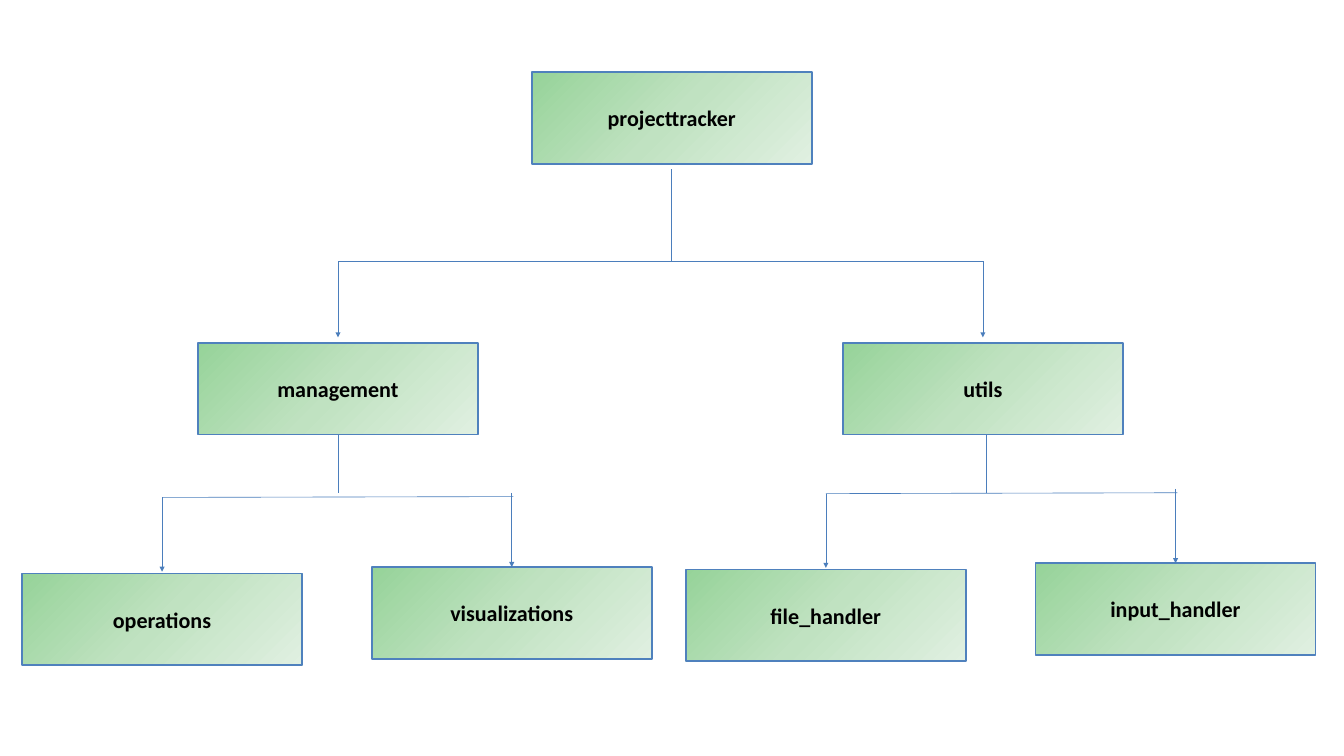
from copy import deepcopy

from lxml import etree
from pptx import Presentation
from pptx.dml.color import RGBColor
from pptx.enum.shapes import MSO_CONNECTOR, MSO_SHAPE
from pptx.enum.text import MSO_ANCHOR, PP_ALIGN
from pptx.oxml.ns import qn
from pptx.util import Pt

RECT = MSO_SHAPE.RECTANGLE
STRAIGHT = MSO_CONNECTOR.STRAIGHT
MIDDLE = MSO_ANCHOR.MIDDLE
CENTER = PP_ALIGN.CENTER
TOP, BOTTOM = 0, 2

COLORS = {"dark": "96D399", "mid": "C0E2C1", "pale": "E0F0E1",
          "edge": "4F81BD", "line": "4B7EBC", "text": "000000"}
FONT = "Calibri"
BOX_W, BOX_H = 329.8, 108
HALF = BOX_W / 2


def rgb(name):
    return RGBColor.from_string(COLORS[name])


def shade(fill):
    """Diagonal gradient with three stops."""
    fill.gradient()
    fill.gradient_angle = 315
    first = fill.gradient_stops[0]._gs
    first.addnext(deepcopy(first))
    stops = zip(fill.gradient_stops, (0, 0.5, 1), ("dark", "mid", "pale"))
    for stop, place, name in stops:
        stop.position = place
        stop.color.rgb = rgb(name)


def add_box(slide, x, y, label):
    box = slide.shapes.add_shape(RECT, Pt(x), Pt(y), Pt(BOX_W), Pt(BOX_H))
    box.shadow.inherit = False
    shade(box.fill)
    box.line.color.rgb = rgb("edge")
    box.line.width = Pt(2)
    frame = box.text_frame
    frame.word_wrap = True
    frame.vertical_anchor = MIDDLE
    para = frame.paragraphs[0]
    para.alignment = CENTER
    run = para.add_run()
    run.text = label
    font = run.font
    font.name, font.size, font.bold = FONT, Pt(26), True
    font.color.rgb = rgb("text")
    return box


def add_line(slide, x1, y1, x2, y2, arrow=False):
    line = slide.shapes.add_connector(STRAIGHT, Pt(x1), Pt(y1), Pt(x2), Pt(y2))
    line.line.color.rgb = rgb("line")
    line.line.width = Pt(0.75)
    props = line._element.spPr
    if arrow:
        etree.SubElement(props.find(qn("a:ln")), qn("a:tailEnd"), type="triangle")
    etree.SubElement(props, qn("a:effectLst"))
    return line


def add_root(slide, x, y, label, kids):
    """Top box, its fork and the two boxes below; returns those two."""
    add_box(slide, x, y, label)
    mid, bar, low = x + HALF, y + 222.5, y + 319
    ends = [left + HALF for left, _ in kids]
    add_line(slide, mid, y + 114.5, mid, bar)
    add_line(slide, ends[0], bar, ends[1], bar)
    for end in ends:
        add_line(slide, end, bar, end, y + 312.5, arrow=True)
    return [add_box(slide, left, low, name) for left, name in kids]


def add_fork(slide, x, y, names):
    """Two leaf boxes under a slightly tilted bar; x, y is the left box."""
    left, right = x + HALF, x + 412 + HALF
    top = y - 7.5
    add_box(slide, x, y, names[0])
    leaf = add_box(slide, x + 412, top, names[1])
    add_line(slide, left, y - 89.5, right + 2, y - 90.5)
    add_line(slide, left, y - 89.5, left, y - 2, arrow=True)
    drop = add_line(slide, right, y - 95, right, top, arrow=True)
    drop.end_connect(leaf, TOP)


def main():
    deck = Presentation()
    deck.slide_width, deck.slide_height = Pt(1583.3), Pt(890.6)
    slide = deck.slides.add_slide(deck.slide_layouts[6])

    # Root and packages
    kids = [(233.3, "management"), (993, "utils")]
    manage, _ = add_root(slide, 626.5, 85, "projecttracker", kids)

    # Stems below the packages
    stem = add_line(slide, 233.3 + HALF, 512, 233.3 + HALF, 580.3)
    stem.begin_connect(manage, BOTTOM)
    add_line(slide, 1161.4, 512, 1161.4, 580.3)

    # Modules
    add_fork(slide, 26, 675.5, ("operations", "visualizations"))
    add_fork(slide, 808, 671, ("file_handler", "input_handler"))

    deck.save("out.pptx")


if __name__ == "__main__":
    main()
